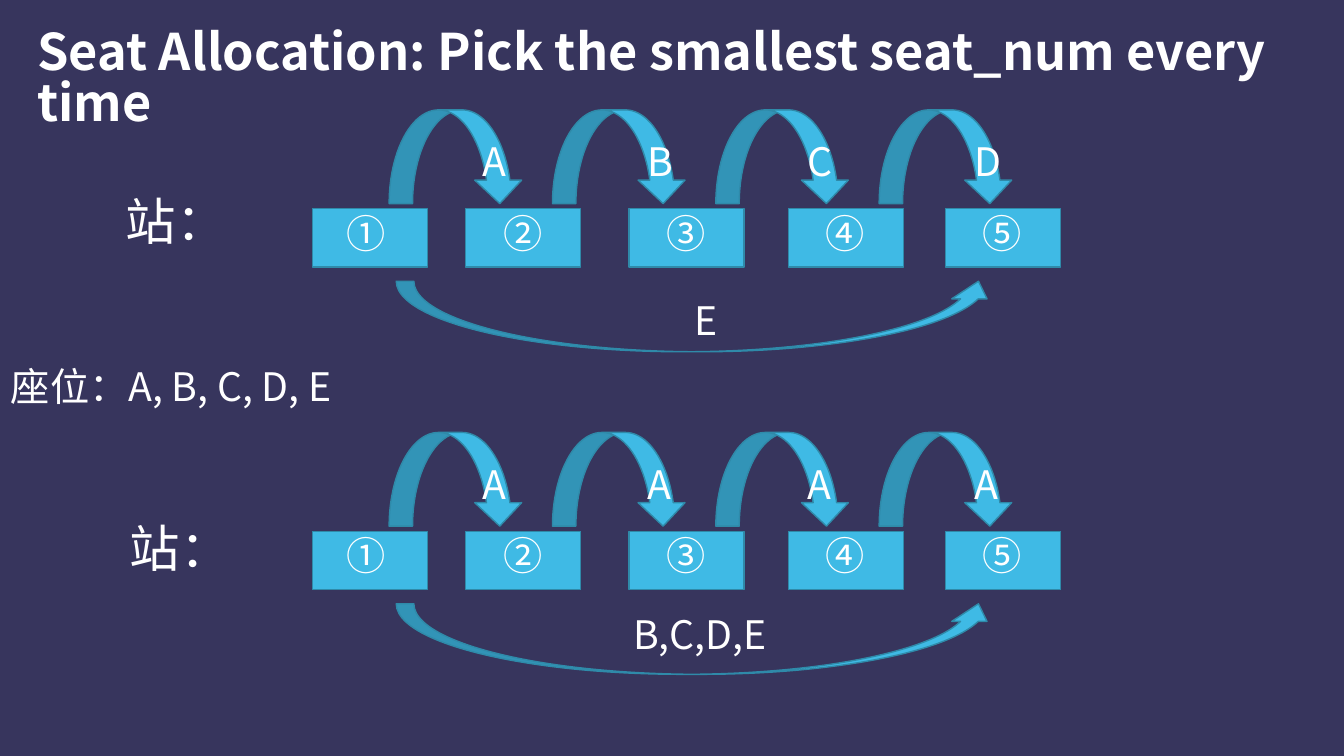
from lxml.etree import SubElement
from pptx import Presentation
from pptx.dml.color import RGBColor
from pptx.enum.shapes import MSO_SHAPE as Shape
from pptx.enum.text import MSO_ANCHOR as Anchor, MSO_AUTO_SIZE as Fit, PP_ALIGN as Align
from pptx.oxml.ns import qn
from pptx.util import Pt

PX = 9144
FONT = "Noto Sans CJK SC"
COLORS = {
    name: RGBColor.from_string(code)
    for name, code in {
        "back": "37355D", "fill": "3FBAE5", "edge": "2F8AA9", "text": "FFFFFF",
    }.items()
}


def write(box, text, size=28, bold=False, space=0.89):
    frame = box.text_frame
    look = {"word_wrap": True, "auto_size": Fit.SHAPE_TO_FIT_TEXT, "vertical_anchor": Anchor.TOP}
    for key, value in look.items():
        setattr(frame, key, value)
    para = frame.paragraphs[0]
    para.alignment = Align.LEFT
    para.line_spacing = space
    run = para.add_run()
    run.text = text
    for key, value in {"name": FONT, "size": Pt(size), "bold": bold}.items():
        setattr(run.font, key, value)
    run.font.color.rgb = COLORS["text"]
    SubElement(run.font._element, qn("a:ea"), typeface=FONT)


def draw(group, kind, *area):
    shape = group.shapes.add_shape(kind, *(n * PX for n in area))
    shape.shadow.inherit = False
    shape.fill.solid()
    shape.fill.fore_color.rgb = COLORS["fill"]
    shape.line.color.rgb = COLORS["edge"]
    shape.line.width = Pt(1)


deck = Presentation()
deck.slide_width, deck.slide_height = 1333 * PX, 750 * PX
slide = deck.slides.add_slide(deck.slide_layouts[5])
slide.background.fill.solid()
slide.background.fill.fore_color.rgb = COLORS["back"]

title = slide.shapes.title
spot = {"left": 27, "top": 25, "width": 1270, "height": 71}
for key, value in spot.items():
    setattr(title, key, value * PX)
write(title, "Seat Allocation: Pick the smallest seat_num every time", 36, True, 0.84)

stops = list(zip("①②③④⑤", (310, 462, 624, 782, 938), (334, 490, 651, 809, 965)))
seats = (469, 632, 791, 957)
panels = (
    (0, "ABCD", ("E", 679, 295, 59)),
    (320, "AAAA", ("B,C,D,E", 618, 606, 182)),
)
for top, names, (rest, left, low, wide) in panels:
    group = slide.shapes.add_group_shape()
    for mark, x, inner in stops:
        draw(group, Shape.RECTANGLE, x, top + 207, 114, 58)
        box = group.shapes.add_textbox(inner * PX, (top + 208) * PX, 59 * PX, 57 * PX)
        write(box, mark)
    for i, (name, x) in enumerate(zip(names, seats)):
        draw(group, Shape.CURVED_DOWN_ARROW, 386 + 162 * i, top + 109, 133, 93)
        box = group.shapes.add_textbox(x * PX, (top + 137) * PX, 59 * PX, 57 * PX)
        write(box, name)
    draw(group, Shape.CURVED_UP_ARROW, 393, top + 279, 595, 70)
    box = group.shapes.add_textbox(left * PX, low * PX, wide * PX, 57 * PX)
    write(box, rest)

labels = (
    ("座位：A, B, C, D, E", 28, 1, 360, 397, 57),
    ("站：", 36, 115, 191, 122, 71),
    ("站：", 36, 119, 515, 122, 71),
)
for text, size, *area in labels:
    write(slide.shapes.add_textbox(*(n * PX for n in area)), text, size)

deck.save("out.pptx")
